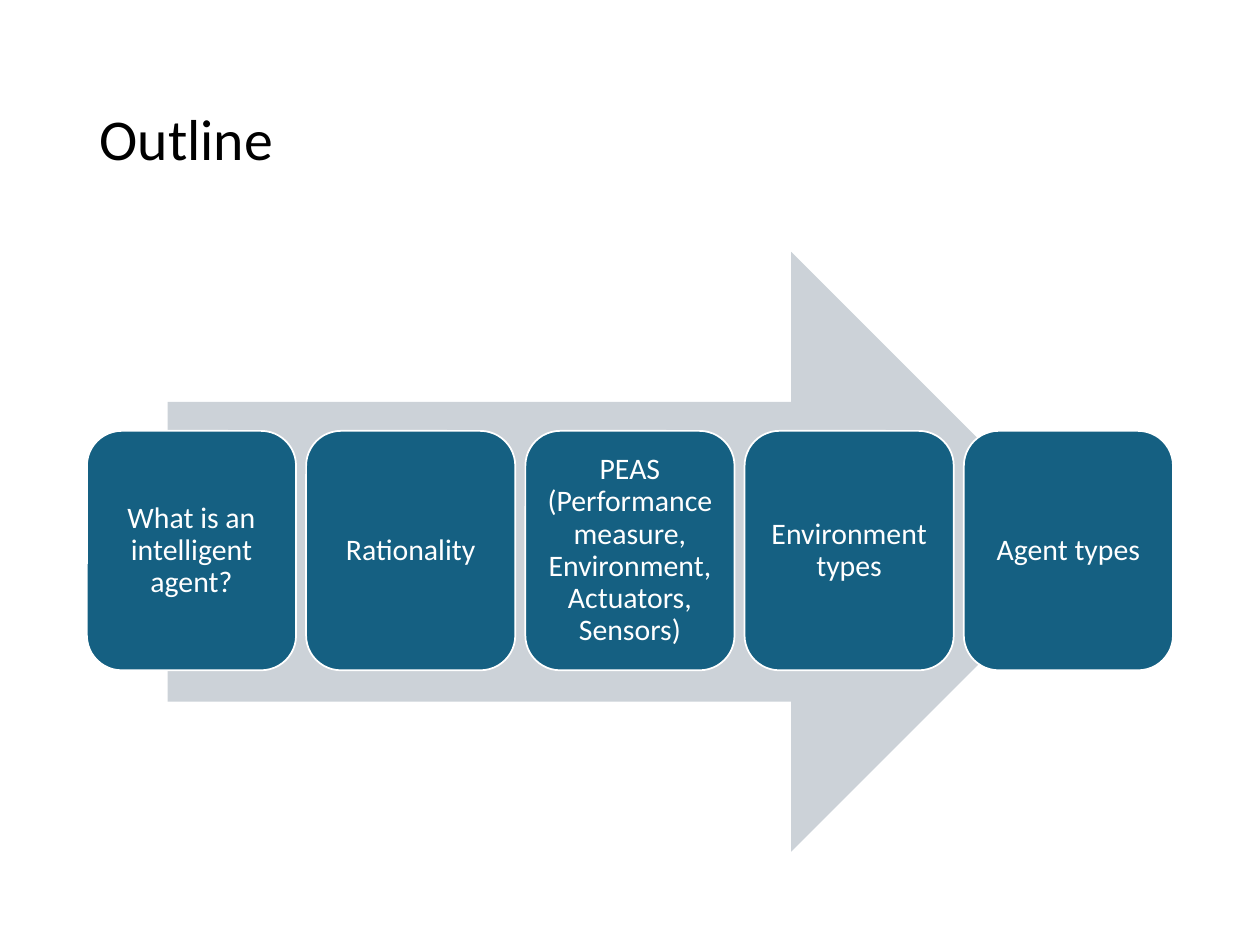
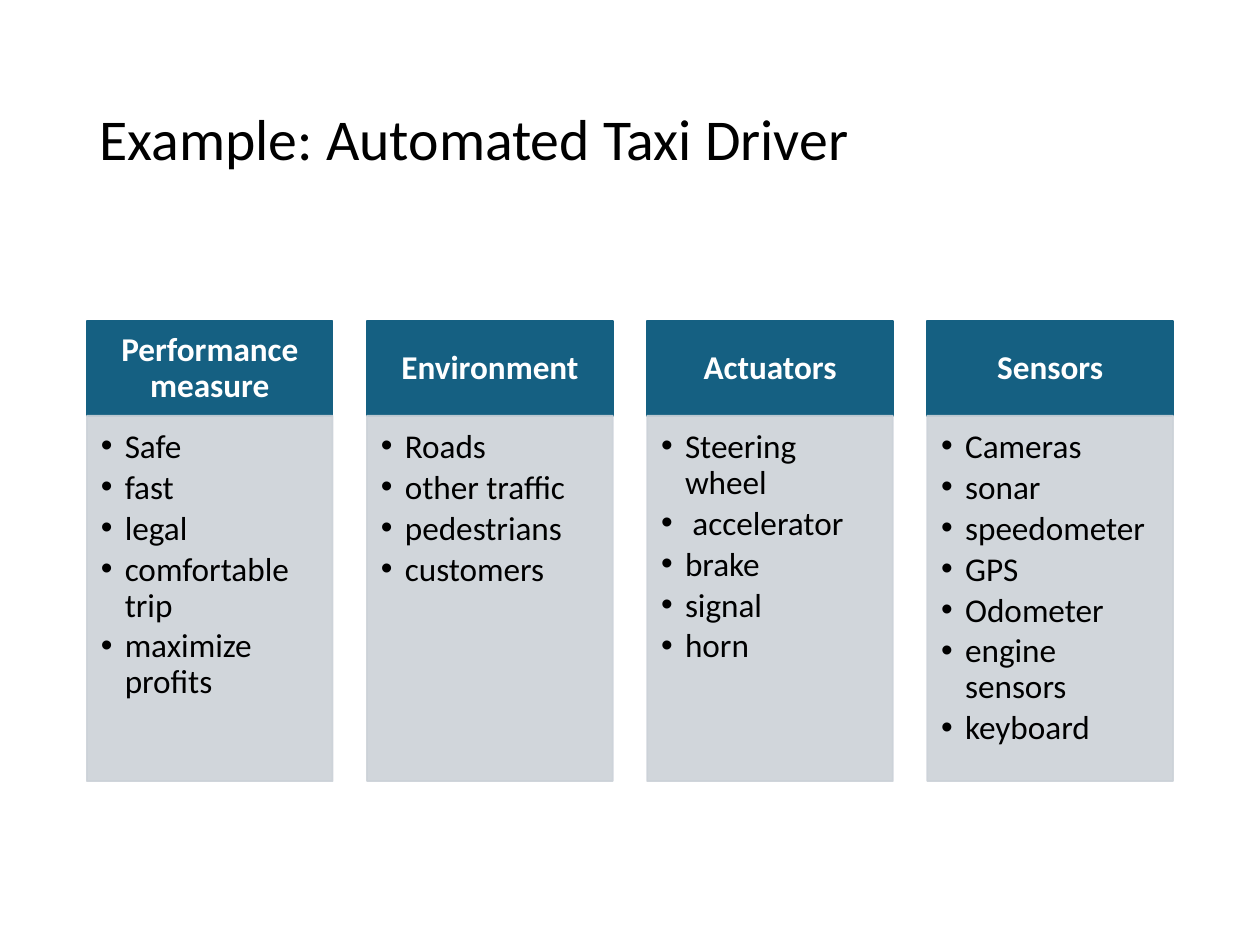
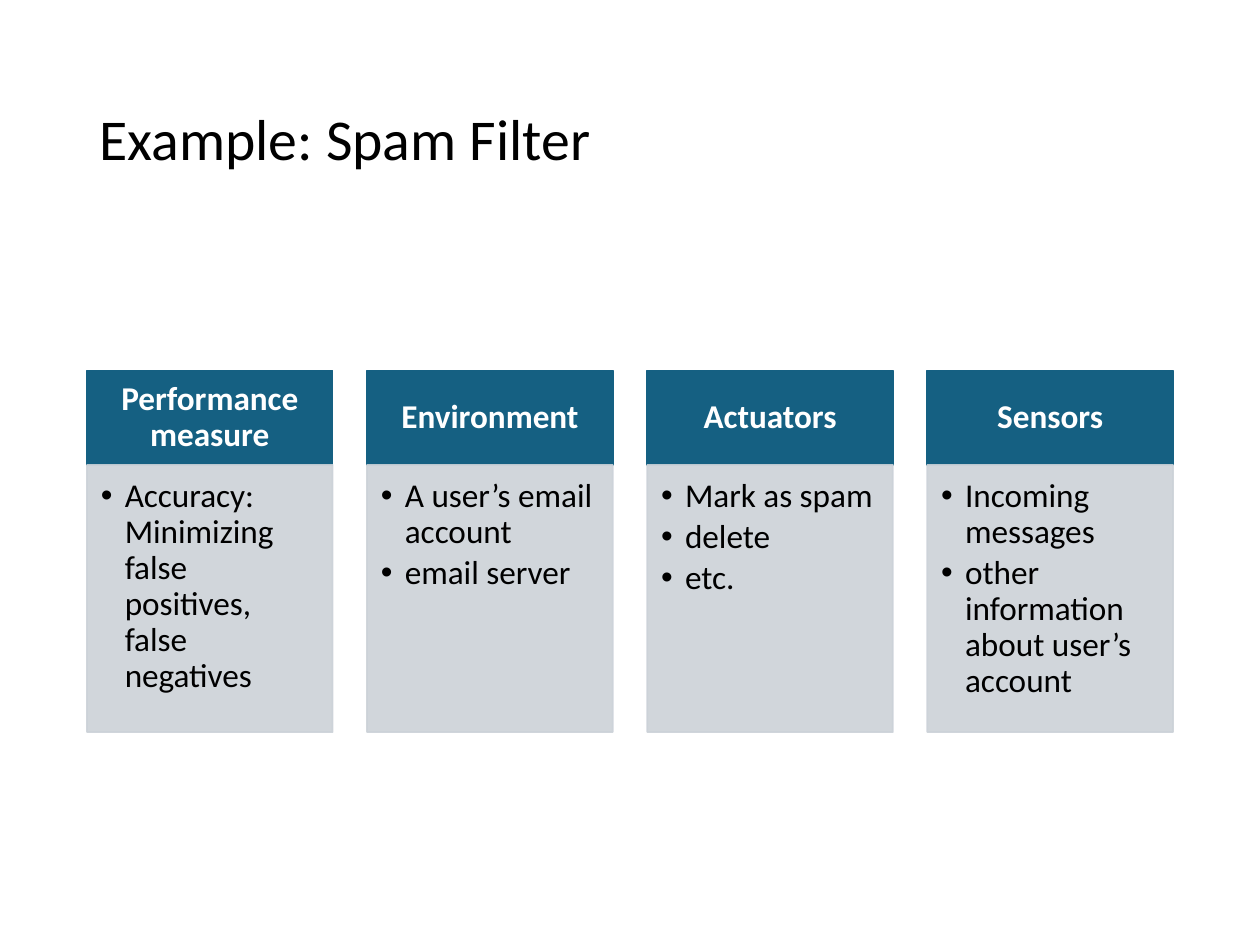
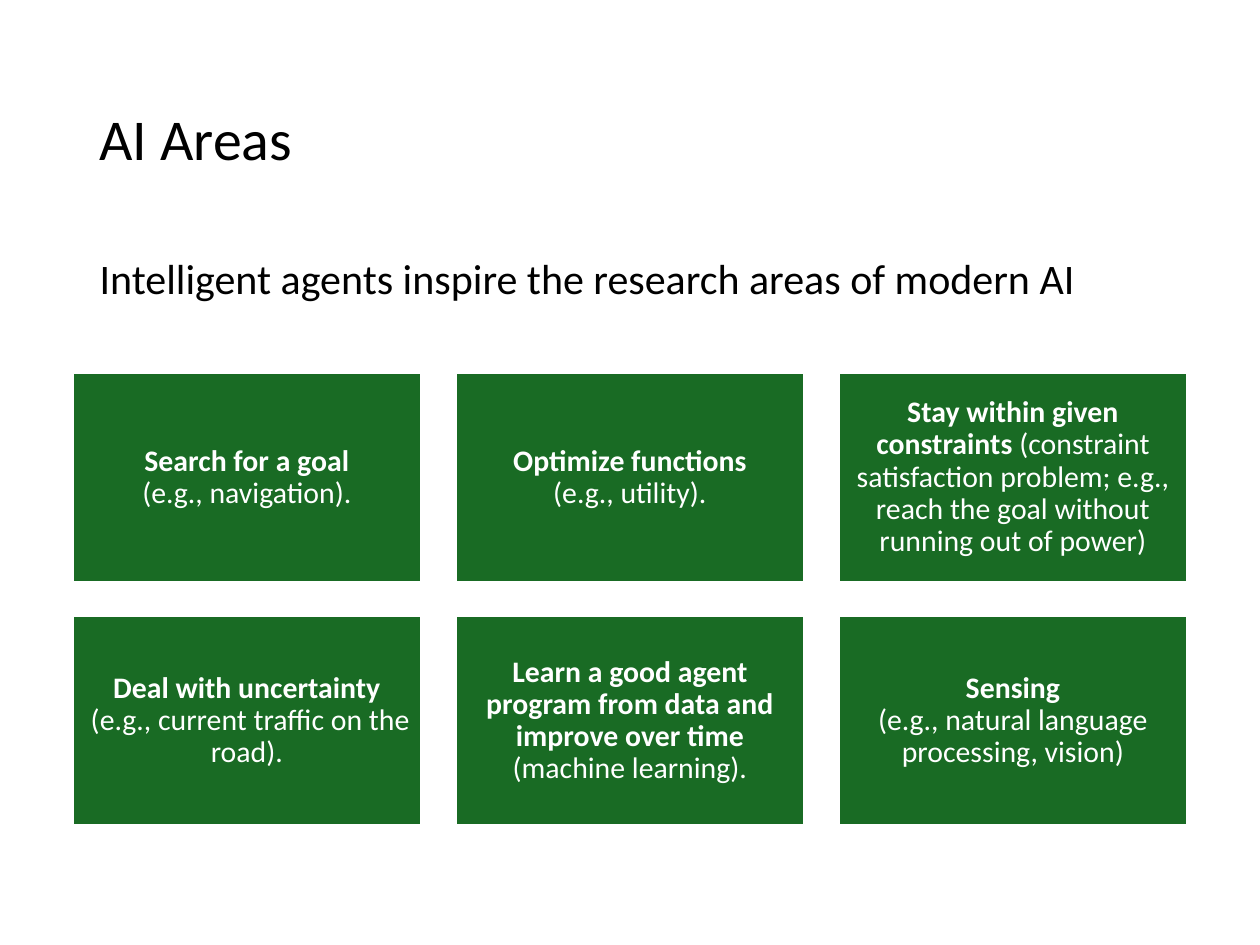
from lxml import etree
from pptx import Presentation
from pptx.dml.color import RGBColor
from pptx.enum import shapes, text
from pptx.oxml import ns
from pptx.util import Inches, Pt

# Content
OUTLINE = [
    "What is an intelligent agent?",
    "Rationality",
    "PEAS (Performance measure, Environment, Actuators, Sensors)",
    "Environment types",
    "Agent types",
]
PEAS_HEADINGS = ["Performance measure", "Environment", "Actuators", "Sensors"]
# Each example: title, top of the columns, height of the lists, lists
EXAMPLES = [
    ("Example: Automated Taxi Driver", 2.55, 2.9, [
        ["Safe", "fast", "legal", "comfortable trip", "maximize profits"],
        ["Roads", "other traffic", "pedestrians", "customers"],
        ["Steering wheel", " accelerator", "brake", "signal", "horn"],
        ["Cameras", "sonar", "speedometer", "GPS", "Odometer",
         "engine sensors", "keyboard"],
    ]),
    ("Example: Spam Filter", 2.94, 2.12, [
        ["Accuracy: Minimizing false positives, false negatives"],
        ["A user’s email account", "email server"],
        ["Mark as spam", "delete", "etc."],
        ["Incoming messages", "other information about user’s account"],
    ]),
]
AREAS_INTRO = "Intelligent agents inspire the research areas of modern AI"
# Each area: bold part, whether a line break follows, plain part
AREAS = [
    ("Search for a goal", True, "(e.g., navigation)."),
    ("Optimize functions", True, "(e.g., utility)."),
    ("Stay within given constraints ", False,
     "(constraint satisfaction problem; e.g., reach the goal without "
     "running out of power)"),
    ("Deal with uncertainty", True, " (e.g., current traffic on the road)."),
    ("Learn a good agent program from data and improve over time", True,
     "(machine learning)."),
    ("Sensing", True, "(e.g., natural language processing, vision)"),
]

# Shared style
FONT = "Calibri"
COLORS = {"black": "000000", "white": "FFFFFF", "blue": "156082",
          "gray": "CCD2D8", "green": "196B24"}
TITLE_BOX = (0.69, 0.4, 8.62, 1.45)
BODY_BOX = (0.69, 2, 8.62, 4.76)
LEFT = 0.69
TITLE_ONLY, TITLE_AND_CONTENT = 5, 1
SHAPE = shapes.MSO_SHAPE


def rgb(name):
    return RGBColor.from_string(COLORS[name])


def place(shape, box):
    shape.left, shape.top, shape.width, shape.height = map(Inches, box)


def add_run(paragraph, words, size, color, bold=False):
    run = paragraph.add_run()
    run.text = words
    run.font.name, run.font.size, run.font.bold = FONT, Pt(size), bold
    run.font.color.rgb = rgb(color)


def set_bullet(paragraph, indent, character=None):
    """Give the paragraph a hanging bullet, or none."""
    properties = paragraph._p.get_or_add_pPr()
    properties.set("marL", str(Inches(indent)))
    properties.set("indent", str(-Inches(indent)))
    if character:
        font = etree.SubElement(properties, ns.qn("a:buFont"))
        font.set("typeface", "Arial")
        bullet = etree.SubElement(properties, ns.qn("a:buChar"))
        bullet.set("char", character)
    else:
        etree.SubElement(properties, ns.qn("a:buNone"))


def fill_placeholder(placeholder, box, words, size, anchor):
    place(placeholder, box)
    frame = placeholder.text_frame
    frame.auto_size = text.MSO_AUTO_SIZE.NONE
    frame.vertical_anchor = anchor
    paragraph = frame.paragraphs[0]
    paragraph.alignment = text.PP_ALIGN.LEFT
    paragraph.line_spacing = 0.9
    add_run(paragraph, words, size, "black")
    return paragraph


def add_titled_slide(presentation, title, layout=TITLE_ONLY):
    slide = presentation.slides.add_slide(presentation.slide_layouts[layout])
    fill_placeholder(slide.shapes.title, TITLE_BOX, title, 33,
                     text.MSO_ANCHOR.MIDDLE)
    return slide


def set_opacity(shape, percent):
    for color in shape._element.spPr.iter(ns.qn("a:srgbClr")):
        alpha = etree.SubElement(color, ns.qn("a:alpha"))
        alpha.set("val", str(percent * 1000))


def add_box(slide, kind, box, fill, line=None, margins=(0.07,) * 4):
    shape = slide.shapes.add_shape(kind, *map(Inches, box))
    shape.shadow.inherit = False
    shape.fill.solid()
    shape.fill.fore_color.rgb = rgb(fill)
    if line:
        shape.line.color.rgb = rgb(line)
        shape.line.width = Pt(1)
    else:
        shape.line.fill.background()
    frame = shape.text_frame
    frame.word_wrap = True
    (frame.margin_left, frame.margin_top,
     frame.margin_right, frame.margin_bottom) = map(Inches, margins)
    frame.vertical_anchor = text.MSO_ANCHOR.MIDDLE
    paragraph = frame.paragraphs[0]
    paragraph.alignment = text.PP_ALIGN.CENTER
    paragraph.line_spacing = 0.9
    return shape


def add_outline_slide(presentation):
    slide = add_titled_slide(presentation, "Outline")
    add_box(slide, SHAPE.RIGHT_ARROW, (1.33, 2, 7.33, 4.76), "gray")
    width, step = 1.66, 1.74
    for index, topic in enumerate(OUTLINE):
        card = add_box(slide, SHAPE.ROUNDED_RECTANGLE,
                       (LEFT + index * step, 3.42, width, 1.9),
                       "blue", "white")
        add_run(card.text_frame.paragraphs[0], topic, 17, "white")


def add_example_slide(presentation, title, top, list_height, lists):
    slide = add_titled_slide(presentation, title)
    width, heading_height = 1.95, 0.75
    step = (BODY_BOX[2] - width) / (len(lists) - 1)
    for index, (heading, items) in enumerate(zip(PEAS_HEADINGS, lists)):
        left = LEFT + index * step
        # Column heading
        header = add_box(slide, SHAPE.RECTANGLE,
                         (left, top, width, heading_height),
                         "blue", "blue", (0.15, 0.08, 0.15, 0.08))
        add_run(header.text_frame.paragraphs[0], heading, 19, "white", True)
        # Column list
        column = add_box(slide, SHAPE.RECTANGLE,
                         (left, top + heading_height, width, list_height),
                         "gray", "gray", (0.11, 0.11, 0.15, 0.17))
        set_opacity(column, 90)
        frame = column.text_frame
        frame.vertical_anchor = text.MSO_ANCHOR.TOP
        for number, item in enumerate(items):
            paragraph = frame.add_paragraph() if number else frame.paragraphs[0]
            paragraph.alignment = text.PP_ALIGN.LEFT
            paragraph.level = 1
            paragraph.line_spacing = 0.9
            paragraph.space_after = Pt(2.85)
            set_bullet(paragraph, 0.19, "•")
            add_run(paragraph, item, 19, "black")


def add_areas_slide(presentation):
    slide = add_titled_slide(presentation, "AI Areas", TITLE_AND_CONTENT)
    intro = fill_placeholder(slide.placeholders[1], BODY_BOX, AREAS_INTRO, 24,
                             text.MSO_ANCHOR.TOP)
    intro.space_before = Pt(7.5)
    set_bullet(intro, 0)
    columns, width, height = 3, 2.76, 1.66
    for index, (name, line_break, detail) in enumerate(AREAS):
        row, column = divmod(index, columns)
        card = add_box(slide, SHAPE.RECTANGLE,
                       (0.58 + column * 3.04, 2.96 + row * 1.93, width, height),
                       "green", "white")
        paragraph = card.text_frame.paragraphs[0]
        add_run(paragraph, name, 17, "white", True)
        if line_break:
            paragraph.add_line_break()
        add_run(paragraph, detail, 17, "white")


def main():
    presentation = Presentation()
    presentation.slide_width = Inches(10)
    presentation.slide_height = Inches(7.5)
    add_outline_slide(presentation)
    for example in EXAMPLES:
        add_example_slide(presentation, *example)
    add_areas_slide(presentation)
    presentation.save("out.pptx")


if __name__ == "__main__":
    main()
